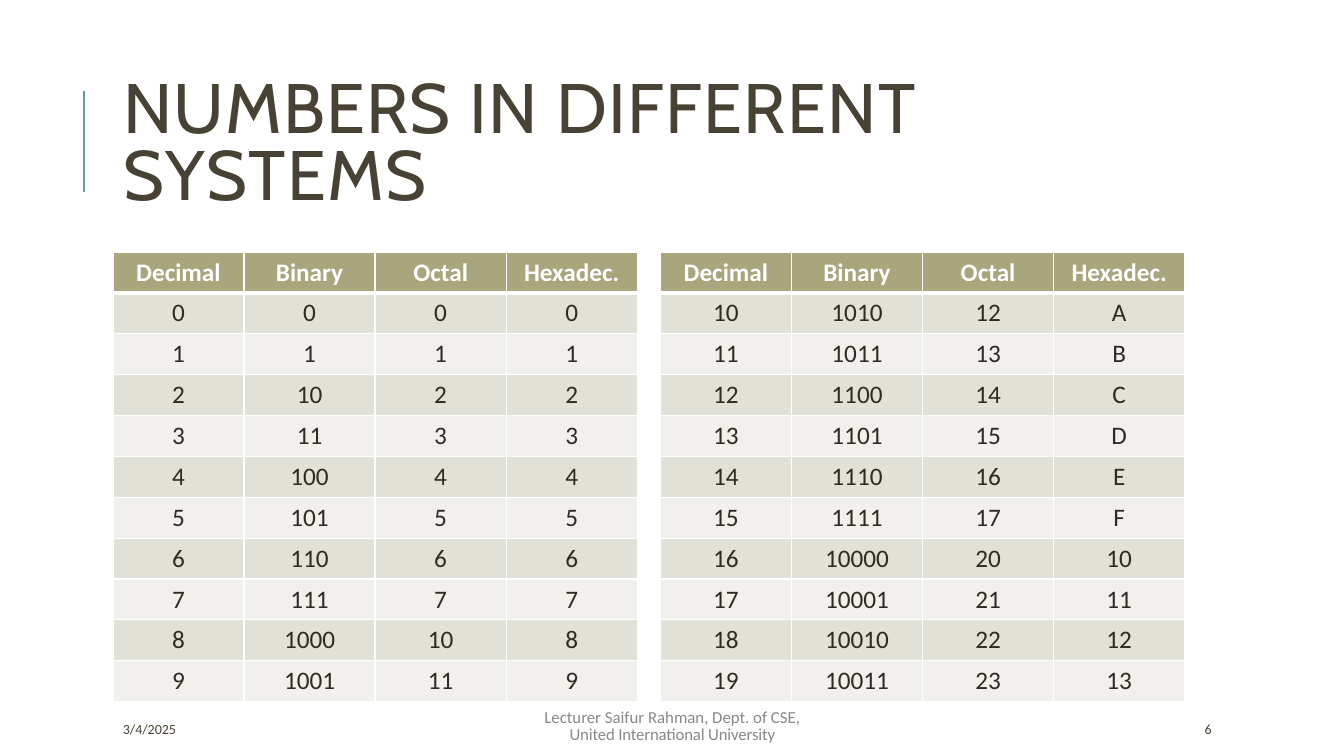
import lxml.etree
import pptx
import pptx.dml.color
import pptx.enum.shapes
import pptx.enum.text
import pptx.oxml.ns
import pptx.util

Inches = pptx.util.Inches
Pt = pptx.util.Pt
qn = pptx.oxml.ns.qn

HEADINGS = ["Decimal", "Binary", "Octal", "Hexadec."]
DARK, WHITE, GREY, TEAL = "474233", "FFFFFF", "888888", "689C9A"
HEADER_FILL, CELL_TEXT = "A9A57C", "2E2B21"
BAND_FILLS = ["E2E1D7", "F1F0EC"]


def color(hex_value):
    return pptx.dml.color.RGBColor.from_string(hex_value)


def format_run(run, size, hex_value, font_name="Calibri", bold=False, spacing=None):
    run.font.name = font_name
    run.font.size = Pt(size)
    run.font.bold = bold
    run.font.color.rgb = color(hex_value)
    if spacing is not None:
        run.font._element.set("spc", str(int(spacing * 100)))


def add_title(slide, left, top, width, height):
    # Accent line beside the title
    line_left = left - 0.29
    accent = slide.shapes.add_connector(
        pptx.enum.shapes.MSO_CONNECTOR.STRAIGHT,
        Inches(line_left), Inches(top + 1.26), Inches(line_left), Inches(top + 0.26))
    accent.line.color.rgb = color(TEAL)
    accent.line.width = Pt(1.5)
    lxml.etree.SubElement(accent._element.spPr, qn("a:effectLst"))

    # Title text
    title = slide.shapes.title
    title.left, title.top = Inches(left), Inches(top)
    title.width, title.height = Inches(width), Inches(height)
    frame = title.text_frame
    frame.text = "NUMBERS IN DIFFERENT SYSTEMS"
    frame.word_wrap = True
    frame.auto_size = pptx.enum.text.MSO_AUTO_SIZE.NONE
    frame.vertical_anchor = pptx.enum.text.MSO_ANCHOR.MIDDLE
    paragraph = frame.paragraphs[0]
    paragraph.alignment = pptx.enum.text.PP_ALIGN.LEFT
    paragraph.line_spacing = 0.8
    format_run(paragraph.runs[0], 50, DARK, "Cabin", spacing=1)


def set_borders(cell, top, bottom):
    properties = cell._tc.get_or_add_tcPr()
    for tag, width in (("lnL", 1), ("lnR", 1), ("lnT", top), ("lnB", bottom)):
        border = lxml.etree.SubElement(properties, qn("a:" + tag), w=str(Pt(width)))
        fill = lxml.etree.SubElement(border, qn("a:solidFill"))
        lxml.etree.SubElement(fill, qn("a:srgbClr"), val=WHITE)


def add_number_table(slide, left, top, width, height, numbers):
    # Each number in base 10, 2, 8 and 16 under a header row
    rows = [HEADINGS] + [[f"{n:d}", f"{n:b}", f"{n:o}", f"{n:X}"] for n in numbers]
    table = slide.shapes.add_table(
        len(rows), len(HEADINGS),
        Inches(left), Inches(top), Inches(width), Inches(height)).table
    for row_index, values in enumerate(rows):
        is_header = row_index == 0
        table.rows[row_index].height = Inches(height / len(rows))
        for column_index, value in enumerate(values):
            cell = table.cell(row_index, column_index)
            set_borders(cell, top=3 if row_index == 1 else 1, bottom=3 if is_header else 1)
            cell.fill.solid()
            cell.fill.fore_color.rgb = color(
                HEADER_FILL if is_header else BAND_FILLS[(row_index - 1) % 2])
            cell.text_frame.text = value
            paragraph = cell.text_frame.paragraphs[0]
            paragraph.alignment = pptx.enum.text.PP_ALIGN.CENTER
            format_run(paragraph.runs[0], 18, WHITE if is_header else CELL_TEXT, bold=is_header)


def add_text(slide, text, left, top, width, height, size, hex_value):
    box = slide.shapes.add_textbox(Inches(left), Inches(top), Inches(width), Inches(height))
    frame = box.text_frame
    frame.word_wrap = True
    frame.text = text
    format_run(frame.paragraphs[0].runs[0], size, hex_value)
    return frame


def add_footer(slide, left, top, width, height):
    # Date and slide number
    number_width = 1.06
    for text, text_left, text_width in (
            ("3/4/2025", left, 2.36),
            ("6", left + width - number_width, number_width)):
        frame = add_text(slide, text, text_left, top + 0.04, text_width, height - 0.04, 10, DARK)
        frame.vertical_anchor = pptx.enum.text.MSO_ANCHOR.MIDDLE

    # Lecturer and university
    frame = add_text(slide, "Lecturer Saifur Rahman, Dept. of CSE, ",
                     left + 4.08, top, 2.94, height, 12, GREY)
    frame.margin_left = frame.margin_right = frame.margin_top = frame.margin_bottom = 0
    frame.auto_size = pptx.enum.text.MSO_AUTO_SIZE.SHAPE_TO_FIT_TEXT
    paragraph = frame.paragraphs[0]
    paragraph.alignment = pptx.enum.text.PP_ALIGN.CENTER
    paragraph.line_spacing = Pt(12.4)
    university = paragraph.add_run()
    university.text = "United International University"
    format_run(university, 12, GREY, spacing=-0.1)


def main():
    presentation = pptx.Presentation()
    presentation.slide_width = Inches(13.33)
    presentation.slide_height = Inches(7.5)
    slide = presentation.slides.add_slide(presentation.slide_layouts[5])

    left = 1.12
    add_title(slide, left, 0.64, 10.63, 1.64)
    for index in range(2):
        first = index * 10
        add_number_table(slide, left + index * 5.43, 2.5, 5.2, 4.46, range(first, first + 10))
    add_footer(slide, left, 7.04, 11.79, 0.34)

    presentation.save("out.pptx")


if __name__ == "__main__":
    main()
